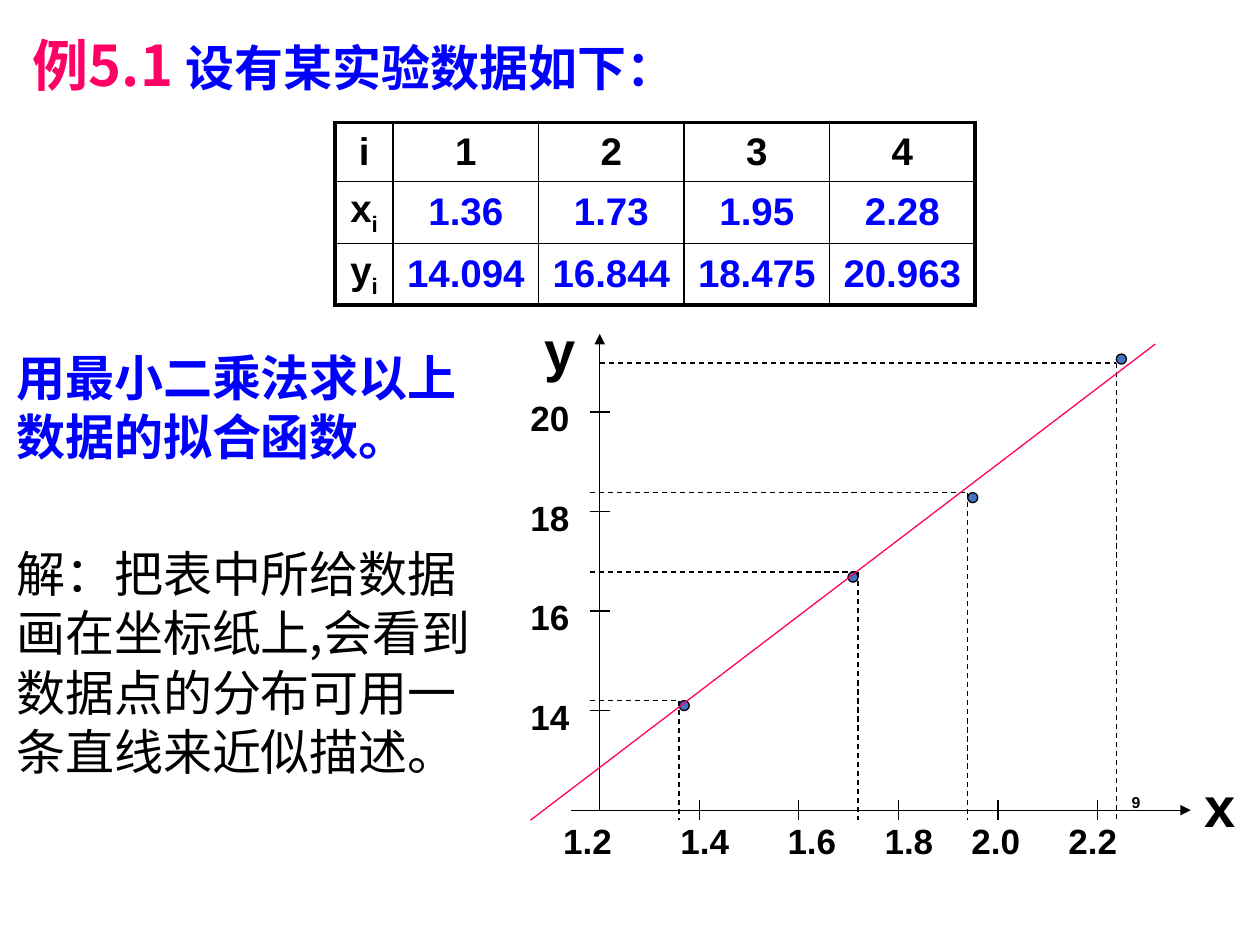
from dataclasses import dataclass

from lxml import etree
from pptx import Presentation
from pptx.dml.color import RGBColor
from pptx.enum.dml import MSO_LINE
from pptx.enum.shapes import MSO_CONNECTOR, MSO_SHAPE
from pptx.enum.text import MSO_ANCHOR, MSO_AUTO_SIZE, PP_ALIGN
from pptx.oxml.ns import qn
from pptx.util import Inches, Pt

STRAIGHT = MSO_CONNECTOR.STRAIGHT
RECT, OVAL = MSO_SHAPE.RECTANGLE, MSO_SHAPE.OVAL
LEFT, CENTER, RIGHT = PP_ALIGN.LEFT, PP_ALIGN.CENTER, PP_ALIGN.RIGHT
TOP, MIDDLE = MSO_ANCHOR.TOP, MSO_ANCHOR.MIDDLE
NO_FIT = MSO_AUTO_SIZE.NONE
DASH = MSO_LINE.DASH


@dataclass(frozen=True)
class Theme:
    """Colours, fonts, type sizes and line widths."""
    black: RGBColor = RGBColor(0, 0, 0)
    white: RGBColor = RGBColor(255, 255, 255)
    blue: RGBColor = RGBColor(0, 0, 255)
    pink: RGBColor = RGBColor(255, 0, 102)
    dot: RGBColor = RGBColor(0x44, 0x72, 0xC4)
    latin: str = "Arial"
    cjk: str = "Noto Sans CJK SC"
    large: int = 32
    body: int = 28
    cell: int = 22
    label: int = 20
    number: int = 9
    thin: float = 0.75
    grid: float = 1
    frame: float = 2.25


T = Theme()


@dataclass(frozen=True)
class Box:
    """A region in inches."""
    x: float
    y: float
    w: float
    h: float

    def emu(self):
        """Return left, top, width and height as lengths."""
        return [Inches(v) for v in (self.x, self.y, self.w, self.h)]


def add_run(p, text, size, color, font=T.latin, bold=True):
    """Add one formatted run."""
    r = p.add_run()
    r.text = text
    r.font.size, r.font.name, r.font.bold = Pt(size), font, bold
    r.font.color.rgb = color
    etree.SubElement(r.font._element, qn("a:ea"), typeface=font)
    return r


def set_frame(sp, anchor, wrap=True, margins=(0.1, 0.05)):
    """Set anchor, wrapping and margins of a text frame."""
    tf = sp.text_frame
    tf.auto_size, tf.word_wrap, tf.vertical_anchor = NO_FIT, wrap, anchor
    tf.margin_left = tf.margin_right = Inches(margins[0])
    tf.margin_top = tf.margin_bottom = Inches(margins[1])
    return tf


def place(sp, box):
    """Move a placeholder into a box."""
    sp.left, sp.top, sp.width, sp.height = box.emu()


def add_title(sp, box):
    """Fill the title placeholder."""
    place(sp, box)
    p = set_frame(sp, MIDDLE).paragraphs[0]
    p.alignment, p.line_spacing = LEFT, 0.9
    add_run(p, "例5.1 ", T.large, T.pink, T.cjk)
    add_run(p, "设有某实验数据如下：", T.body, T.blue, T.cjk)


def add_body(sp, box):
    """Fill the body placeholder with the task and its solution."""
    place(sp, box)
    tf = set_frame(sp, TOP)
    parts = [
        ("用最小二乘法求以上数据的拟合函数。", T.blue, True, 0),
        ("解：把表中所给数据画在坐标纸上,会看到数据点的分布可用一条直线来近似描述。", T.black, False, 44),
    ]
    for i, (text, color, bold, before) in enumerate(parts):
        p = tf.add_paragraph() if i else tf.paragraphs[0]
        pPr = p._p.get_or_add_pPr()
        pPr.set("marL", "0")
        pPr.set("indent", "0")
        etree.SubElement(pPr, qn("a:buNone"))
        p.alignment, p.line_spacing, p.space_before = LEFT, Pt(34), Pt(before)
        add_run(p, text, T.body, color, T.cjk, bold)


def set_borders(cell, widths):
    """Draw left, right, top and bottom borders of a cell."""
    tcPr = cell._tc.get_or_add_tcPr()
    for i, (side, width) in enumerate(zip("LRTB", widths)):
        ln = etree.Element(qn(f"a:ln{side}"), w=str(Pt(width)))
        fill = etree.SubElement(ln, qn("a:solidFill"))
        etree.SubElement(fill, qn("a:srgbClr"), val=str(T.black))
        tcPr.insert(i, ln)


def add_data_table(slide, box):
    """Add the table of measured values."""
    rows = [
        ("i", "1", "2", "3", "4"),
        ("x", "1.36", "1.73", "1.95", "2.28"),
        ("y", "14.094", "16.844", "18.475", "20.963"),
    ]
    n, m = len(rows), len(rows[0])
    table = slide.shapes.add_table(n, m, *box.emu()).table
    table.first_row = table.horz_banding = False
    first = 0.46
    for j, col in enumerate(table.columns):
        col.width = Inches((box.w - first) / (m - 1) if j else first)
    for i, row in enumerate(rows):
        table.rows[i].height = Inches(0.47)
        for j, text in enumerate(row):
            cell = table.cell(i, j)
            cell.fill.background()
            cell.vertical_anchor = MIDDLE
            edges = (j == 0, j == m - 1, i == 0, i == n - 1)
            set_borders(cell, [T.frame if e else T.grid for e in edges])
            p = cell.text_frame.paragraphs[0]
            p.alignment = CENTER
            add_run(p, text, T.cell, T.blue if i and j else T.black)
            if i and not j:
                sub = add_run(p, "i", T.cell, T.black)
                sub.font._element.set("baseline", "-25000")


def add_line(slide, start, end, color=T.black, dash=None, arrow=False):
    """Add a straight line between two points in inches."""
    points = [Inches(v) for v in (*start, *end)]
    line = slide.shapes.add_connector(STRAIGHT, *points)
    line.line.color.rgb, line.line.width = color, Pt(T.thin)
    if dash:
        line.line.dash_style = dash
    if arrow:
        etree.SubElement(line.line._get_or_add_ln(), qn("a:tailEnd"), type="triangle")
    etree.SubElement(line._element.spPr, qn("a:effectLst"))


def add_shape(slide, kind, box, fill, edge):
    """Add a flat preset shape."""
    sp = slide.shapes.add_shape(kind, *box.emu())
    sp.shadow.inherit = False
    sp.fill.solid()
    sp.fill.fore_color.rgb = fill
    sp.line.color.rgb, sp.line.width = edge, Pt(T.thin)
    return sp


def add_labels(slide, box, lines, size, gap=0, tabs=()):
    """Add a white label box with one paragraph per line."""
    sp = add_shape(slide, RECT, box, T.white, T.white)
    tf = set_frame(sp, MIDDLE, bool(tabs), (0.02, 0))
    for i, text in enumerate(lines):
        p = tf.add_paragraph() if i else tf.paragraphs[0]
        if tabs:
            stops = etree.SubElement(p._p.get_or_add_pPr(), qn("a:tabLst"))
            for pos in tabs:
                etree.SubElement(stops, qn("a:tab"), pos=str(Inches(pos)), algn="l")
        p.alignment = LEFT if tabs else CENTER
        p.space_before = Pt(gap if i else 0)
        add_run(p, text, size, T.black)


def add_plot(slide, box):
    """Add the axes, the data points with guides and the fitted line."""
    step, half, d = 0.79, 0.08, 0.08

    def at(dx, dy):
        """Return the point right of and above the axis origin."""
        return box.x + 0.63 + dx, box.y + 3.78 + -dy

    add_line(slide, at(-0.23, 0), at(4.69, 0), arrow=True)
    add_line(slide, at(0, 0), at(0, 3.78), arrow=True)
    for k in range(1, 6):
        add_line(slide, at(k * step, half), at(k * step, -half))
    for k in range(1, 5):
        add_line(slide, at(-half, k * step), at(half, k * step))

    add_labels(slide, Box(box.x, box.y + 0.55, 0.47, 2.6), ["20", "18", "16", "14"], T.label, gap=33)
    add_labels(slide, Box(box.x + 0.32, box.y + 3.86, 4.45, 0.32), ["1.2\t1.4\t1.6\t1.8\t2.0\t2.2"],
               T.label, tabs=(0.93, 1.78, 2.55, 3.24, 4.01))

    points = [(0.63, 0.87, 0, 0, -half), (2.05, 1.89, -d, 0, -half),
              (2.92, 2.52, 0, 0, -half), (4.1, 3.55, 0, 0.07, 0)]
    for x, y, shift_x, shift_y, start in points:
        add_line(slide, at(x, y), at(x, -half), dash=DASH)
        add_line(slide, at(start, y), at(x, y), dash=DASH)
        add_shape(slide, OVAL, Box(*at(x + shift_x, y + shift_y), d, d), T.dot, T.black)
    add_line(slide, at(-0.55, -half), at(4.41, 3.7), T.pink)

    add_labels(slide, Box(box.x + 5.4, box.y + 3.62, 0.31, 0.24), ["x"], T.large)
    add_labels(slide, Box(box.x + 0.16, box.y, 0.31, 0.24), ["y"], T.large)


def add_number(slide, box):
    """Add the slide number."""
    p = set_frame(slide.shapes.add_textbox(*box.emu()), TOP).paragraphs[0]
    p.alignment = RIGHT
    add_run(p, "9", T.number, T.black)


def main():
    """Build and save the slide."""
    prs = Presentation()
    prs.slide_width, prs.slide_height = Inches(10), Inches(7.5)
    slide = prs.slides.add_slide(prs.slide_layouts[1])
    add_title(slide.shapes.title, Box(0.16, 0.25, 7.91, 0.59))
    add_data_table(slide, Box(2.66, 0.97, 5.08, 1.43))
    add_body(slide.placeholders[1], Box(0.03, 2.7, 3.94, 3.68))
    add_plot(slide, Box(4.13, 2.65, 5.71, 4.18))
    add_number(slide, Box(6.9, 6.24, 2.25, 0.4))
    prs.save("out.pptx")


if __name__ == "__main__":
    main()
